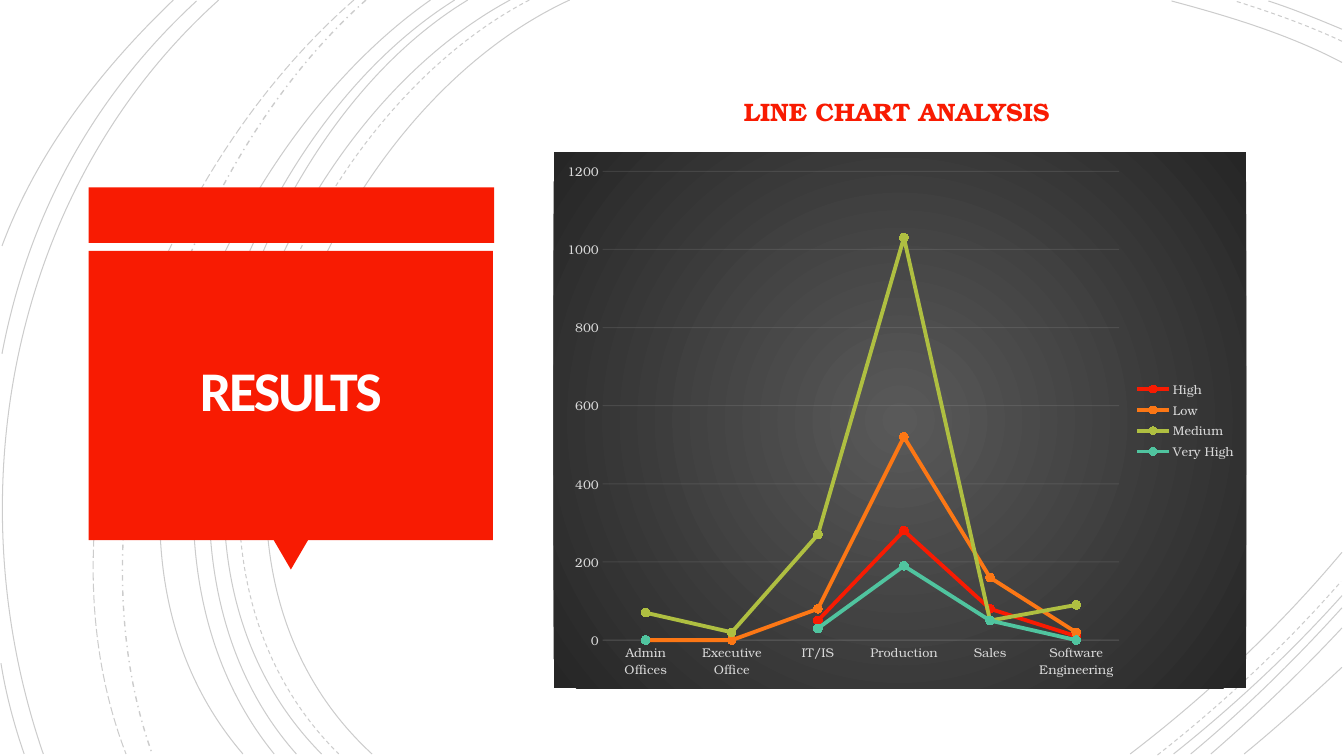
from lxml import etree
from pptx import Presentation
from pptx.chart.data import CategoryChartData
from pptx.dml.color import RGBColor
from pptx.enum.chart import (XL_CHART_TYPE as ChartType, XL_LEGEND_POSITION as LegendPosition,
                             XL_MARKER_STYLE as MarkerStyle, XL_TICK_MARK as TickMark)
from pptx.enum.dml import MSO_LINE_DASH_STYLE as Dash
from pptx.enum.shapes import MSO_SHAPE as Shape
from pptx.enum.text import MSO_ANCHOR as Anchor, MSO_AUTO_SIZE as AutoSize, PP_ALIGN as Align
from pptx.oxml import parse_xml
from pptx.oxml.ns import nsdecls, qn
from pptx.util import Pt

EMU_PER_PX = 9144  # 100 px to the inch
COLORS = {
    "red": "F81B02", "white": "FFFFFF", "black": "000000",
    "label": "D9D9D9", "grid": "F2F2F2", "center": "595959", "edge": "262626",
}
BODY_FONT = "TeX Gyre Bonum"
TITLE_FONT = "Calibri"

# Each arc: start, two control points, end
ARCS = {
    Dash.SOLID: [
        (565, 0, 315, 115, 143, 540, 369, 748),
        (506, 0, 270, 127, 110, 537, 319, 748),
        (464, 0, 244, 133, 110, 541, 294, 748),
        (451, 0, 231, 138, 97, 533, 272, 748),
        (427, 0, 217, 147, 53, 529, 241, 748),
        (217, 0, 11, 185, -46, 490, 43, 748),
        (195, 1, 92, 96, 28, 214, 2, 351),
        (172, 0, 100, 69, 37, 150, 2, 244),
        (1, 658, 6, 689, 14, 719, 24, 748),
        (1331, 62, 1278, 34, 1218, 16, 1162, 1),
        (1331, 29, 1307, 19, 1283, 9, 1258, 1),
        (1121, 748, 1197, 690, 1269, 622, 1331, 548),
        (1164, 748, 1223, 701, 1280, 648, 1331, 591),
        (1181, 748, 1234, 704, 1284, 655, 1331, 603),
        (1201, 748, 1246, 709, 1290, 667, 1331, 623),
        (1234, 748, 1267, 721, 1299, 692, 1331, 662),
    ],
    Dash.DASH: [
        (525, 0, 285, 125, 123, 537, 336, 748),
        (1331, 41, 1297, 25, 1260, 12, 1225, 1),
        (1148, 749, 1213, 698, 1275, 640, 1330, 577),
    ],
    Dash.DASH_DOT: [(363, 0, 176, 166, 65, 509, 151, 748)],
    Dash.LONG_DASH: [(351, 0, 157, 169, 29, 499, 125, 748)],
}

DEPARTMENTS = ["Admin Offices", "Executive Office", "IT/IS", "Production", "Sales",
               "Software Engineering"]
# Name, values, line colour, marker colour
SERIES = [
    ("High", [0, None, 50, 280, 80, 10], "F81B02", "F21900"),
    ("Low", [0, 0, 80, 520, 160, 20], "FC7715", "FF720A"),
    ("Medium", [70, 20, 270, 1030, 50, 90], "AFBF41", "B7CB2D"),
    ("Very High", [0, None, 30, 190, 50, 0], "50C49F", "3DCFA0"),
]


def px(*lengths):
    return [length * EMU_PER_PX for length in lengths]


class SlideBuilder:
    """Holds the style and the current slide."""

    def __init__(self, page):
        self.shapes = page.shapes

    def group(self):
        return self.shapes.add_group_shape().shapes

    def style_line(self, line, color, width, opacity=100):
        line.color.rgb = RGBColor.from_string(color)
        line.width = Pt(width)
        if opacity < 100:
            for tint in line._get_or_add_ln().iter(qn("a:srgbClr")):
                etree.SubElement(tint, qn("a:alpha"), val=str(opacity * 1000))

    def style_font(self, font, name, size, color, bold=False):
        font.name, font.size, font.bold = name, Pt(size), bold
        font.color.rgb = RGBColor.from_string(color)

    def arc(self, group, arc, dash):
        """One cubic Bezier: its control polygon, with the segments joined into a curve."""
        lengths = px(*arc)
        start, *controls = zip(lengths[0::2], lengths[1::2])
        builder = group.build_freeform(*start, scale=1.0)
        builder.add_line_segments(controls, close=False)
        shape = builder.convert_to_shape()
        segments = list(shape.element.iter(qn("a:lnTo")))
        curve = etree.SubElement(segments[0].getparent(), qn("a:cubicBezTo"))
        for segment in segments:
            curve.append(segment[0])
            segment.getparent().remove(segment)
        shape.shadow.inherit = False
        shape.fill.background()
        self.style_line(shape.line, COLORS["black"], 1 if dash == Dash.DASH_DOT else 0.75, 20)
        shape.line.dash_style = dash

    def block(self, group, kind, left, top, width, height, rotation=0):
        shape = group.add_shape(kind, *px(left, top, width, height))
        shape.shadow.inherit = False
        shape.fill.solid()
        shape.fill.fore_color.rgb = RGBColor.from_string(COLORS["red"])
        shape.line.fill.background()
        shape.rotation = rotation

    def title(self, text, left, top, width, height, inset):
        title = self.shapes.title
        title.element.getparent().append(title.element)  # bring to front
        title.left, title.top, title.width, title.height = px(left, top, width, height)
        frame = title.text_frame
        frame.word_wrap = True
        frame.vertical_anchor = Anchor.MIDDLE
        (frame.margin_left, frame.margin_top,
         frame.margin_right, frame.margin_bottom) = px(inset, inset, inset, inset)
        para = frame.paragraphs[0]
        para.alignment = Align.CENTER
        para.line_spacing = 0.85
        span = para.add_run()
        span.text = text
        self.style_font(span.font, TITLE_FONT, 40, COLORS["white"], bold=True)
        span.font._element.set("spc", "-150")

    def heading(self, text, left, top, width, height):
        box = self.shapes.add_textbox(*px(left, top, width, height))
        box.text_frame.word_wrap = True
        box.text_frame.auto_size = AutoSize.SHAPE_TO_FIT_TEXT
        span = box.text_frame.paragraphs[0].add_run()
        span.text = text
        self.style_font(span.font, BODY_FONT, 18, COLORS["red"], bold=True)

    def line_chart(self, left, top, width, height):
        data = CategoryChartData()
        data.categories = DEPARTMENTS
        for name, values, *_ in SERIES:
            data.add_series(name, values)
        chart = self.shapes.add_chart(
            ChartType.LINE_MARKERS, *px(left, top, width, height), data).chart
        chart.has_title = False
        self.style_font(chart.font, BODY_FONT, 10, COLORS["black"])
        self.chart_background(chart)

        chart.has_legend = True
        chart.legend.position = LegendPosition.RIGHT
        chart.legend.include_in_layout = False
        self.style_font(chart.legend.font, BODY_FONT, 9, COLORS["label"])

        for axis in (chart.category_axis, chart.value_axis):
            axis.major_tick_mark = axis.minor_tick_mark = TickMark.NONE
            self.style_font(axis.tick_labels.font, BODY_FONT, 9, COLORS["label"])
        self.style_line(chart.category_axis.format.line, COLORS["grid"], 0.75, 10)
        scale = chart.value_axis
        scale.minimum_scale, scale.maximum_scale, scale.major_unit = 0, 1200, 200
        scale.format.line.fill.background()
        self.style_line(scale.major_gridlines.format.line, COLORS["grid"], 0.75, 10)

        plot = chart.plots[0]
        plot.vary_by_categories = False
        for series, (_, _, color, marker_color) in zip(plot.series, SERIES):
            series.smooth = False
            self.style_line(series.format.line, color, 2.75)
            marker = series.marker
            marker.style, marker.size = MarkerStyle.CIRCLE, 6
            marker.format.fill.solid()
            marker.format.fill.fore_color.rgb = RGBColor.from_string(marker_color)
            self.style_line(marker.format.line, marker_color, 0.75)

    def chart_background(self, chart):
        """Radial gradient behind the whole chart."""
        chart.element.find(qn("c:chart")).addnext(parse_xml(
            f'<c:spPr {nsdecls("c", "a")}><a:gradFill><a:gsLst>'
            f'<a:gs pos="0"><a:srgbClr val="{COLORS["center"]}"/></a:gs>'
            f'<a:gs pos="100000"><a:srgbClr val="{COLORS["edge"]}"/></a:gs>'
            '</a:gsLst><a:path path="circle">'
            '<a:fillToRect l="50000" t="50000" r="50000" b="50000"/></a:path>'
            '</a:gradFill><a:ln><a:noFill/></a:ln></c:spPr>'))


def main():
    deck = Presentation()
    deck.slide_width, deck.slide_height = px(1333, 750)
    slide = SlideBuilder(deck.slides.add_slide(deck.slide_layouts[5]))
    backdrop = slide.group()
    for dash, arcs in ARCS.items():
        for arc in arcs:
            slide.arc(backdrop, arc, dash)
    callout = slide.group()
    slide.block(callout, Shape.RECTANGLE, 88, 186, 402, 55)
    slide.block(callout, Shape.ISOSCELES_TRIANGLE, 271, 535, 35, 30, rotation=180)
    slide.block(callout, Shape.RECTANGLE, 88, 249, 401, 287)
    slide.title("RESULTS", 97, 257, 383, 269, inset=25)
    slide.line_chart(549, 151, 687, 532)
    slide.heading("LINE CHART ANALYSIS", 728, 91, 345, 40)
    deck.save("out.pptx")


if __name__ == "__main__":
    main()
